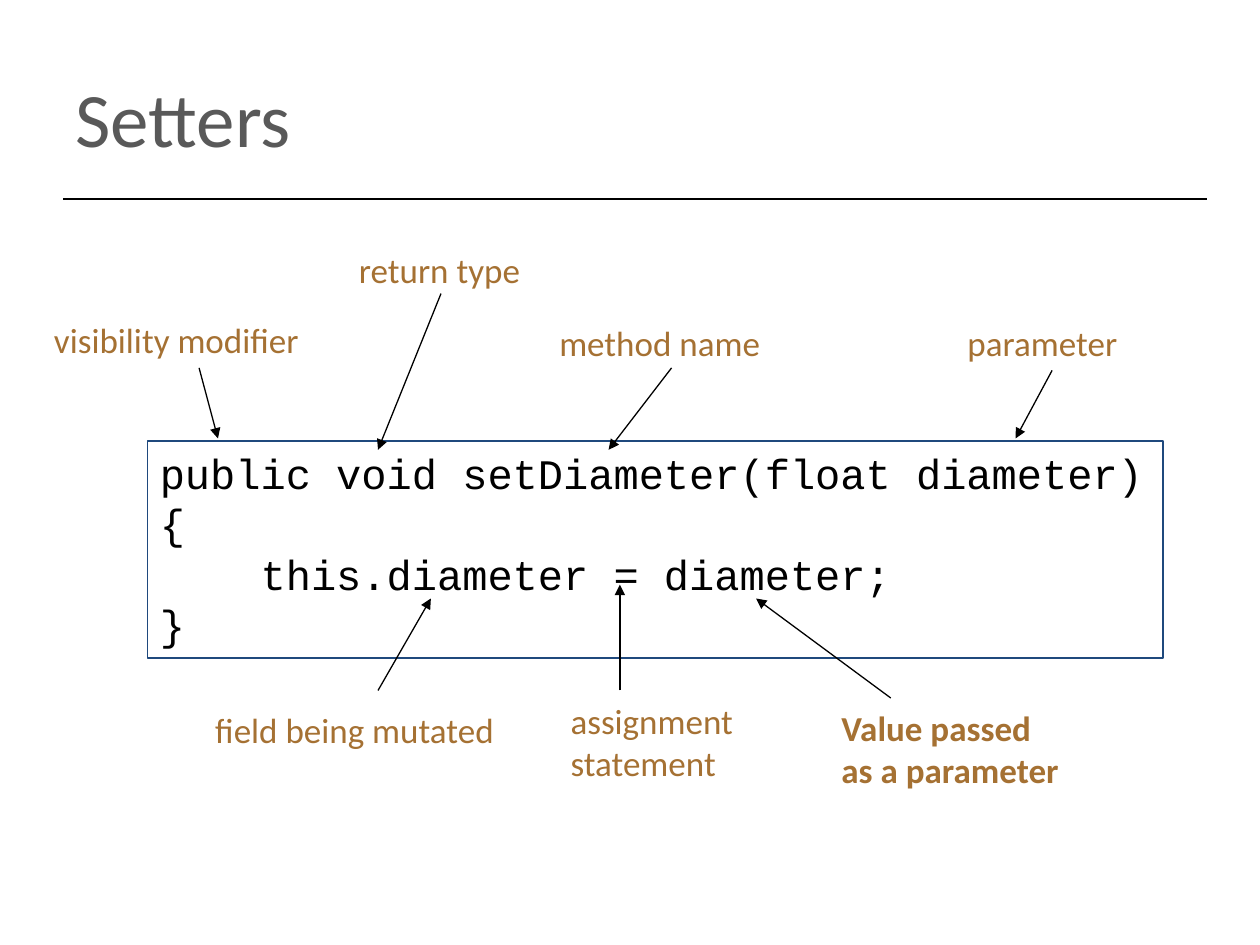
from lxml import etree
from pptx import Presentation
from pptx.dml.color import RGBColor
from pptx.enum.shapes import MSO_CONNECTOR as Connector, MSO_SHAPE as Shape
from pptx.enum.text import MSO_ANCHOR as Anchor, PP_ALIGN as Align
from pptx.oxml.ns import qn
from pptx.util import Inches, Pt

COLORS = {"title": "595959", "label": "A57133", "ink": "000000", "border": "1F497D"}

CODE = """public void setDiameter(float diameter)
{
    this.diameter = diameter;
}"""

ANNOTATIONS = [
    ("return type", (2.75, 1.92, 1.62, 0.43), (3.5, 2.33), (3, 3.57), False),
    ("method name", (4.34, 2.5, 1.91, 0.43), (5.33, 2.92), (4.83, 3.57), False),
    ("parameter", (7.58, 2.5, 1.51, 0.43), (8.35, 2.94), (8.06, 3.48), False),
    ("visibility modifier", (0.33, 2.48, 2.39, 0.43), (1.58, 2.92), (1.73, 3.48), False),
    ("assignment\nstatement", (4.43, 5.5, 1.57, 0.77), (4.92, 5.48), (4.92, 4.64), False),
    ("field being mutated", (1.61, 5.57, 2.51, 0.44), (3, 5.48), (3.42, 4.75), False),
    ("Value passed\nas a parameter", (6.58, 5.56, 1.94, 0.77), (7.07, 5.54), (6, 4.75), True),
]


class SlideBuilder:
    text_font = "Calibri"
    code_font = "Courier New"

    def __init__(self, slide):
        self.slide = slide

    def color(self, name):
        return RGBColor.from_string(COLORS[name])

    def fill_text(self, shape, text, size, color, font, bold=False):
        frame = shape.text_frame
        frame.text = text
        for paragraph in frame.paragraphs:
            paragraph.alignment = Align.LEFT
            paragraph.font.name = font
            paragraph.font.size = Pt(size)
            paragraph.font.bold = bold
            paragraph.font.color.rgb = self.color(color)
        return frame

    def title(self, text, box):
        shape = self.slide.shapes.title
        shape.left, shape.top, shape.width, shape.height = map(Inches, box)
        frame = self.fill_text(shape, text, 44, "title", self.text_font)
        frame.vertical_anchor = Anchor.MIDDLE

    def label(self, text, box, bold=False):
        shape = self.slide.shapes.add_textbox(*map(Inches, box))
        frame = self.fill_text(shape, text, 20, "label", self.text_font, bold)
        frame.word_wrap = False

    def code_box(self, text, box):
        shape = self.slide.shapes.add_shape(Shape.RECTANGLE, *map(Inches, box))
        shape.shadow.inherit = False
        shape.fill.background()
        shape.line.color.rgb = self.color("border")
        shape.line.width = Pt(1)
        frame = self.fill_text(shape, text, 24, "ink", self.code_font)
        frame.word_wrap = False
        frame.vertical_anchor = Anchor.TOP

    def line(self, start, end, width=1.0, arrow=False):
        connector = self.slide.shapes.add_connector(
            Connector.STRAIGHT, *map(Inches, start + end))
        connector.line.color.rgb = self.color("ink")
        connector.line.width = Pt(width)
        properties = connector._element.spPr
        if arrow:
            outline = properties.find(qn("a:ln"))
            etree.SubElement(outline, qn("a:tailEnd"), type="triangle")
        etree.SubElement(properties, qn("a:effectLst"))


def main():
    presentation = Presentation()
    presentation.slide_width = Inches(10)
    presentation.slide_height = Inches(7.5)
    builder = SlideBuilder(presentation.slides.add_slide(presentation.slide_layouts[5]))

    builder.line((0.5, 1.58), (9.58, 1.58))
    builder.title("Setters", (0.5, 0.3, 9, 1.25))
    builder.code_box(CODE, (1.17, 3.5, 8.06, 1.72))
    for text, box, start, end, bold in ANNOTATIONS:
        builder.label(text, box, bold)
        builder.line(start, end, width=0.75, arrow=True)

    presentation.save("out.pptx")


if __name__ == "__main__":
    main()
